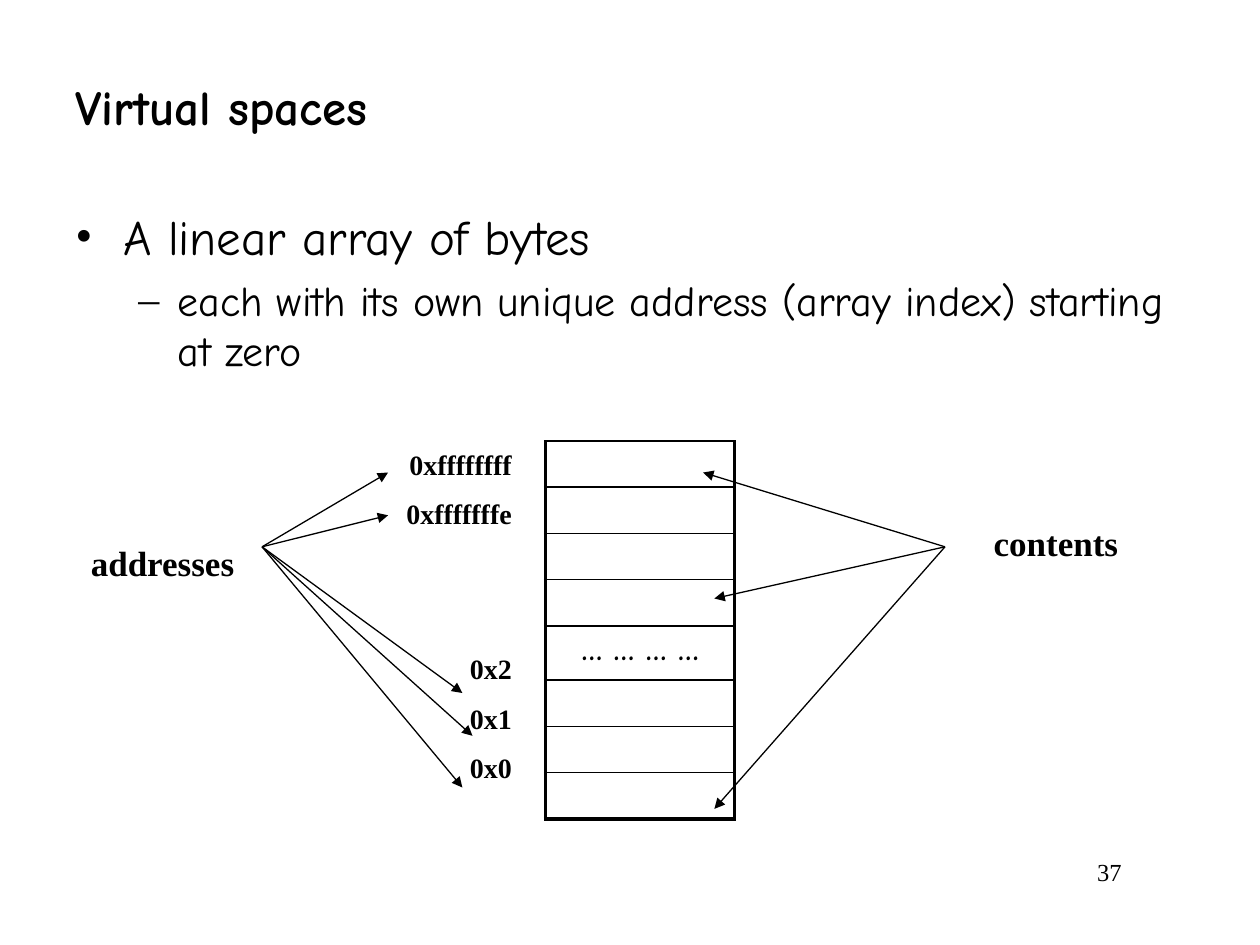
from lxml import etree
from pptx import Presentation
from pptx.dml.color import RGBColor
from pptx.enum.shapes import MSO_CONNECTOR
from pptx.enum.text import MSO_ANCHOR, PP_ALIGN
from pptx.oxml.ns import qn
from pptx.util import Inches, Pt

BLACK = RGBColor(0x00, 0x00, 0x00)
HEADING_FONT = "Comic Neue"
LABEL_FONT = "Times New Roman"
LEFT, CENTER, RIGHT = PP_ALIGN.LEFT, PP_ALIGN.CENTER, PP_ALIGN.RIGHT
TOP, MIDDLE = MSO_ANCHOR.TOP, MSO_ANCHOR.MIDDLE
STRAIGHT = MSO_CONNECTOR.STRAIGHT

ROW_COUNT = 8
GAP_ROW = 4
GAP_ROW_HEIGHT = 0.43
MEMORY_HEIGHT = 3


def write(paragraph, text, font=LABEL_FONT, size=16, bold=False, align=LEFT,
          before=0, bullet=None, margin=0, hanging=0):
    """Fill one paragraph with formatted text."""
    if bullet:
        properties = paragraph._p.get_or_add_pPr()
        properties.set("marL", str(Inches(margin)))
        properties.set("indent", str(-Inches(hanging)))
        etree.SubElement(properties, qn("a:buFont"), typeface=LABEL_FONT)
        etree.SubElement(properties, qn("a:buChar"), char=bullet)
    paragraph.alignment = align
    if before:
        paragraph.space_before = Pt(before)
    run = paragraph.add_run()
    run.text = text
    run.font.name = font
    run.font.size = Pt(size)
    run.font.bold = bold
    run.font.color.rgb = BLACK


def add_text(slide, box, lines, anchor=TOP, **common):
    """Add a text box; each line is its text and its own format."""
    frame = slide.shapes.add_textbox(*map(Inches, box)).text_frame
    frame.word_wrap = True
    frame.vertical_anchor = anchor
    for index, (text, own) in enumerate(lines):
        paragraph = frame.add_paragraph() if index else frame.paragraphs[0]
        write(paragraph, text, **{**common, **own})


def add_arrow(slide, start, end):
    arrow = slide.shapes.add_connector(STRAIGHT, *map(Inches, start + end))
    arrow.line.color.rgb = BLACK
    arrow.line.width = Pt(0.75)
    etree.SubElement(arrow.line._get_or_add_ln(), qn("a:tailEnd"), type="triangle")
    etree.SubElement(arrow._element.spPr, qn("a:effectLst"))


def set_borders(cell, **widths):
    """Draw cell borders, given as side=points in the order L, R, T, B."""
    properties = cell._tc.get_or_add_tcPr()
    for position, (side, points) in enumerate(widths.items()):
        line = etree.Element(qn(f"a:ln{side}"), w=str(Pt(points)))
        fill = etree.SubElement(line, qn("a:solidFill"))
        etree.SubElement(fill, qn("a:srgbClr"), val=str(BLACK))
        properties.insert(position, line)


def add_memory(slide):
    """Draw the byte array as a one-column table."""
    memory = slide.shapes.add_table(
        ROW_COUNT, 1, Inches(4.33), Inches(3.5), Inches(1.5), Inches(MEMORY_HEIGHT)).table
    memory.first_row = False
    memory.horz_banding = False
    byte_height = (MEMORY_HEIGHT - GAP_ROW_HEIGHT) / (ROW_COUNT - 1)
    for index, row in enumerate(memory.rows):
        row.height = Inches(GAP_ROW_HEIGHT if index == GAP_ROW else byte_height)
        cell = row.cells[0]
        cell.fill.background()
        bottom = 2.25 if index == ROW_COUNT - 1 else 1
        set_borders(cell, L=2.25, R=2.25, T=1, B=bottom)
        paragraph = cell.text_frame.paragraphs[0]
        if index == GAP_ROW:
            write(paragraph, "… … … …", font=HEADING_FONT, size=18, bold=True, align=CENTER)
        else:
            paragraph.font.size = Pt(12)


def main():
    prs = Presentation()
    prs.slide_width, prs.slide_height = Inches(10), Inches(7.5)
    slide = prs.slides.add_slide(prs.slide_layouts[6])

    # Slide number, title and bullets
    add_text(slide, (7.58, 6.75, 1.42, 0.5), [("37", {})], size=14, align=RIGHT)
    add_text(slide, (0.5, 0.34, 8.83, 1), [("Virtual spaces", {})],
             anchor=MIDDLE, font=HEADING_FONT, size=28, bold=True)
    add_text(slide, (0.5, 1.59, 9.08, 1.6), [
        ("A linear array of bytes",
         dict(size=28, bullet="•", margin=0.38, hanging=0.38)),
        ("each with its own unique address (array index) starting at zero",
         dict(size=24, bullet="–", margin=0.81, hanging=0.31, before=5)),
    ], font=HEADING_FONT)

    # Memory and its addresses, with a wide gap for the omitted ones
    add_memory(slide)
    add_text(slide, (3.08, 3.5, 1.08, 2.97), [
        ("0xffffffff", {}),
        ("0xfffffffe", dict(before=9)),
        ("0x2", dict(before=69.5)),
        ("0x1", dict(before=9)),
        ("0x0", dict(before=9)),
    ], bold=True, align=RIGHT)

    # Side labels
    add_text(slide, (0.5, 4.25, 1.58, 0.5), [("addresses", {})],
             size=20, bold=True, align=CENTER)
    add_text(slide, (7.42, 4.09, 1.92, 0.5), [("contents", {})],
             size=20, bold=True, align=CENTER)

    # Arrows fanning out from each label
    fans = {
        (2.08, 4.34): [(3.08, 3.75), (3.08, 4.09), (3.67, 5.5), (3.75, 5.84), (3.67, 6.25)],
        (7.5, 4.34): [(5.58, 3.75), (5.67, 4.75), (5.67, 6.42)],
    }
    for start, ends in fans.items():
        for end in ends:
            add_arrow(slide, start, end)

    prs.save("out.pptx")


if __name__ == "__main__":
    main()
